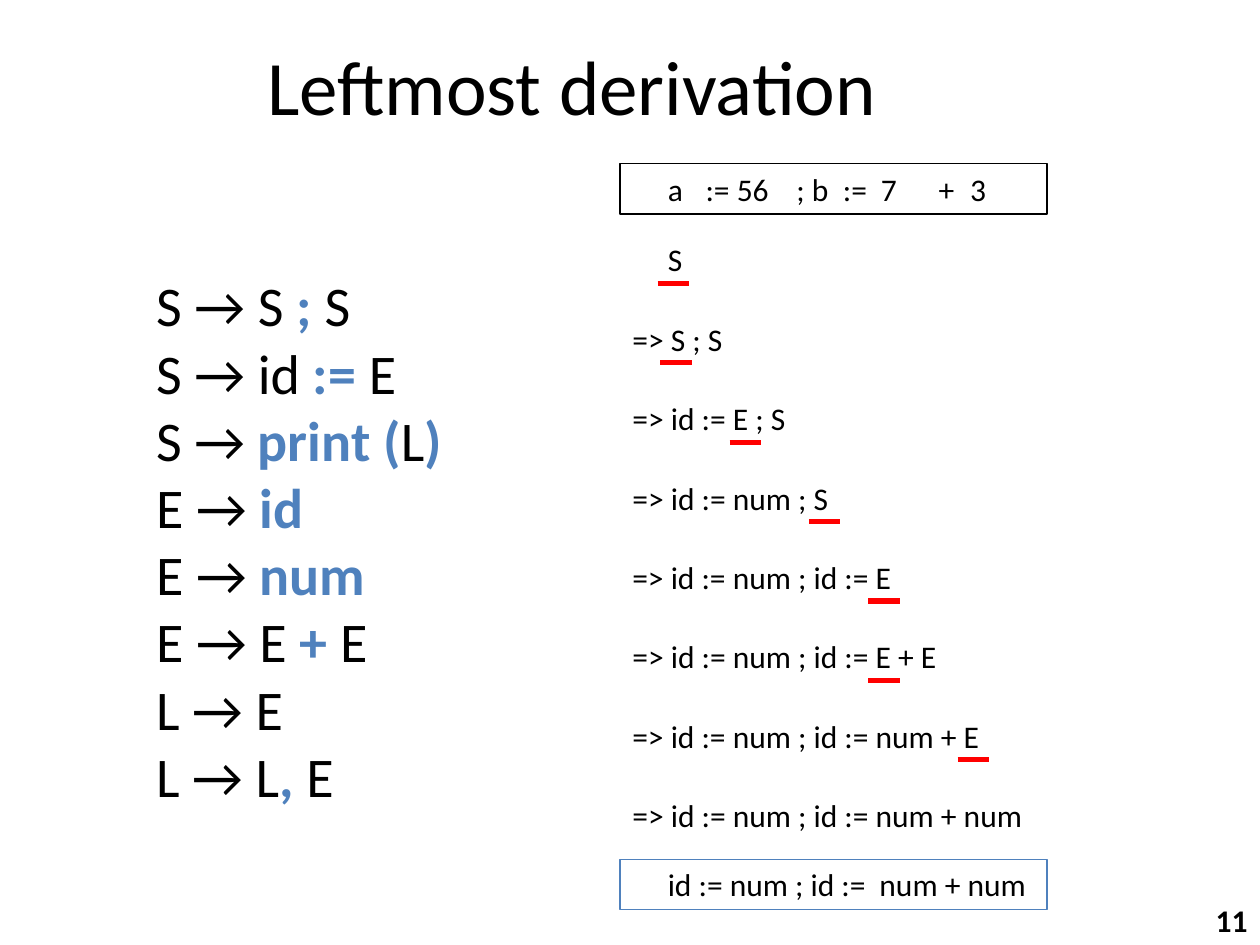
from lxml import etree
from pptx import Presentation
from pptx.dml.color import RGBColor
from pptx.enum.shapes import MSO_CONNECTOR, MSO_SHAPE
from pptx.enum.text import MSO_ANCHOR, MSO_AUTO_SIZE, PP_ALIGN
from pptx.oxml.ns import qn
from pptx.util import Inches, Pt

LINE, RECT = MSO_CONNECTOR.STRAIGHT, MSO_SHAPE.RECTANGLE
TOP, MIDDLE = MSO_ANCHOR.TOP, MSO_ANCHOR.MIDDLE
LEFT, CENTER, RIGHT = PP_ALIGN.LEFT, PP_ALIGN.CENTER, PP_ALIGN.RIGHT
GROW = MSO_AUTO_SIZE.SHAPE_TO_FIT_TEXT
FONT = "Calibri"
COLORS = {"text": "000000", "terminal": "4F81BD", "mark": "FF0000"}

COL_X, COL_W, ROW_H = 4.92, 3.39, 0.4
STEP_Y, STEP_GAP = 1.86, 0.63
MARK_DY, MARK_W = 0.39, 0.25
INSET, INDENT = 0.1, 0.38

GRAMMAR = [
    ["S → S ", "; ", "S"],
    ["S → id ", ":= ", "E"],
    ["S → ", "print (", "L", ")"],
    ["E → ", "id"],
    ["E → ", "num"],
    ["E → E ", "+ ", "E"],
    ["L → E"],
    ["L → L", ", ", "E"],
]
STEPS = [
    ("S", 0.61, 5.22),
    ("=> S ; S", 1.18, 5.24),
    ("=> id := E ; S", 1.89, 5.79),
    ("=> id := num ; S", 1.89, 6.42),
    ("=> id := num ; id := E", 2.36, 6.89),
    ("=> id := num ; id := E + E", 2.68, 6.89),
    ("=> id := num ; id := num + E", 3.07, 7.6),
    ("=> id := num ; id := num + num", COL_W, None),
]


def rgb(name):
    """Return the named colour."""
    return RGBColor.from_string(COLORS[name])


def add_run(p, text, size, color="text", bold=False):
    """Append a formatted run to a paragraph."""
    r = p.add_run()
    r.text = text
    r.font.name, r.font.size, r.font.bold = FONT, Pt(size), bold
    r.font.color.rgb = rgb(color)


def add_text(s, x, y, w, h, inset=INSET):
    """Add a wrapping text box and return its frame."""
    tf = s.shapes.add_textbox(*map(Inches, (x, y, w, h))).text_frame
    tf.word_wrap, tf.auto_size = True, GROW
    tf.margin_left = Inches(inset)
    return tf


def add_title(s, text):
    """Place and fill the title placeholder."""
    sp = s.shapes.title
    sp.left, sp.top, sp.width, sp.height = map(Inches, (0.29, 0.05, 8.5, 1.25))
    tf = sp.text_frame
    tf.vertical_anchor = MIDDLE
    p = tf.paragraphs[0]
    p.alignment = CENTER
    add_run(p, text, 44)


def add_grammar(s):
    """List the productions with their terminals highlighted."""
    tf = add_text(s, 1.14, 2.1, 2.52, 4.41)
    for i, parts in enumerate(GRAMMAR):
        p = tf.add_paragraph() if i else tf.paragraphs[0]
        for j, part in enumerate(parts):
            terminal = j % 2 == 1
            add_run(p, part, 32, "terminal" if terminal else "text", terminal)


def add_mark(s, x, y):
    """Underline the symbol that is expanded next."""
    c = s.shapes.add_connector(LINE, *map(Inches, (x, y, x + MARK_W, y)))
    c.line.color.rgb, c.line.width = rgb("mark"), Pt(3)
    etree.SubElement(c._element.spPr, qn("a:effectLst"))


def add_steps(s):
    """Stack the derivation steps and mark each expanded symbol."""
    for i, (text, width, mark_x) in enumerate(STEPS):
        y = STEP_Y + i * STEP_GAP
        tf = add_text(s, COL_X, y, width, ROW_H, INSET if i else INDENT)
        tf.word_wrap = i > 0
        add_run(tf.paragraphs[0], text, 18)
        if mark_x:
            add_mark(s, mark_x, y + MARK_DY)


def add_sentence(s, y, text, color, stops):
    """Add an outlined sentence with its tokens set on tab stops."""
    sp = s.shapes.add_shape(RECT, *map(Inches, (COL_X, y, COL_W, ROW_H)))
    sp.shadow.inherit = False
    sp.fill.background()
    sp.line.color.rgb, sp.line.width = rgb(color), Pt(0.75)
    tf = sp.text_frame
    tf.word_wrap, tf.auto_size, tf.vertical_anchor = True, GROW, TOP
    tf.margin_left = Inches(INDENT)
    p = tf.paragraphs[0]
    p.alignment = LEFT
    tabs = etree.SubElement(p._p.get_or_add_pPr(), qn("a:tabLst"))
    for stop in stops:
        etree.SubElement(tabs, qn("a:tab"), pos=str(Inches(stop)), algn="l")
    add_run(p, text, 18)


def add_number(s, text):
    """Set the slide number in the bottom right corner."""
    p = add_text(s, 9.49, 7.1, 0.51, ROW_H).paragraphs[0]
    p.alignment = RIGHT
    add_run(p, text, 18, bold=True)


def main():
    """Build and save the slide."""
    prs = Presentation()
    prs.slide_width, prs.slide_height = Inches(10), Inches(7.5)
    s = prs.slides.add_slide(prs.slide_layouts[5])
    add_title(s, "Leftmost derivation")
    add_number(s, "11")
    add_steps(s)
    add_sentence(s, 1.3, "a\t:= 56\t; b\t:=\t7\t+\t3", "text",
                 [0.3, 1.02, 1.39, 1.69, 2.15, 2.4])
    add_sentence(s, 6.82, "id := num ; id :=\tnum + num", "terminal", [1.68])
    add_grammar(s)
    prs.save("out.pptx")


if __name__ == "__main__":
    main()
